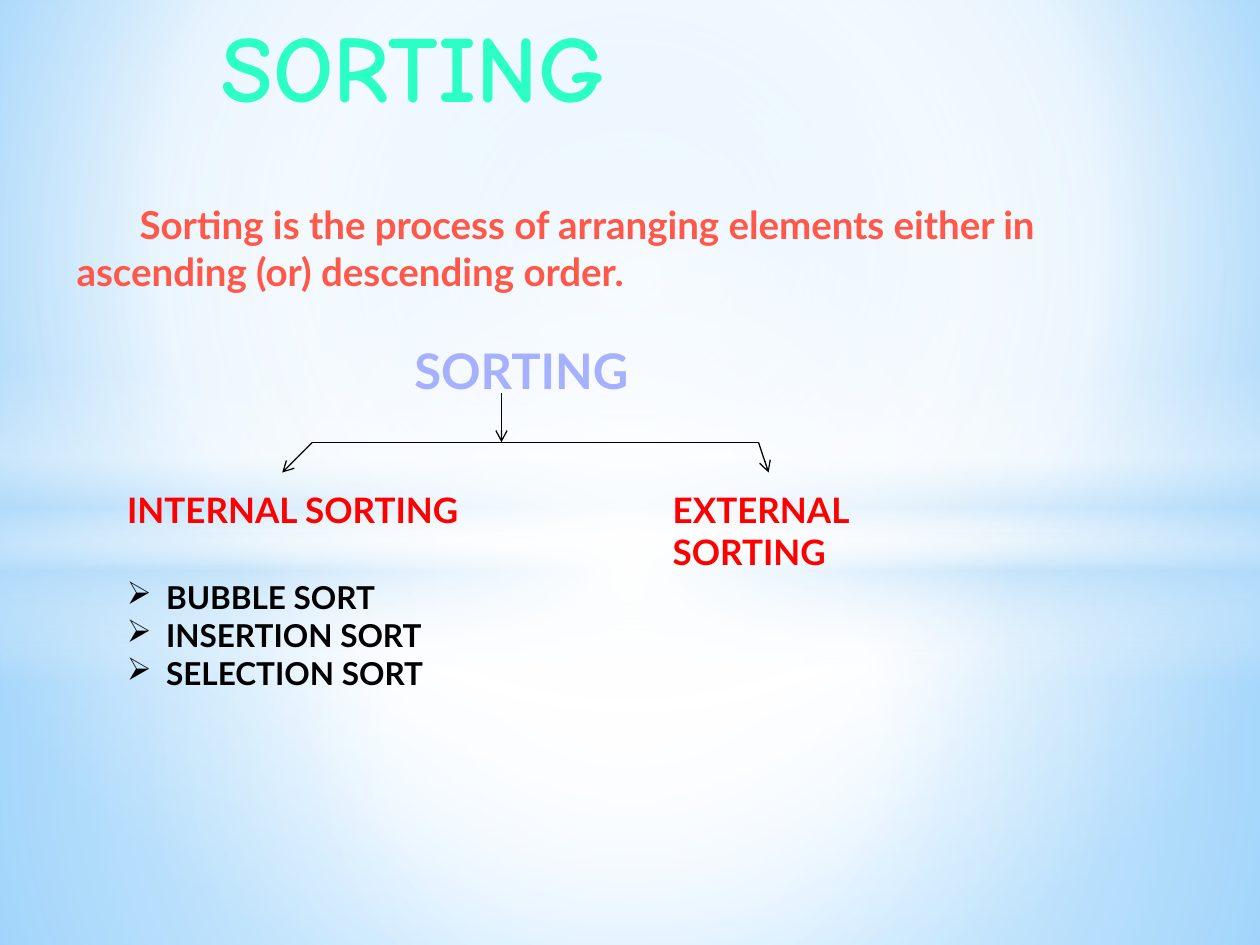
from dataclasses import dataclass
from pptx import Presentation
from pptx.dml.color import RGBColor
from pptx.enum.shapes import MSO_CONNECTOR as CONN, MSO_SHAPE as SHAPE
from pptx.enum.text import MSO_ANCHOR as ANCHOR, MSO_AUTO_SIZE as AUTO, PP_ALIGN as ALIGN
from pptx.oxml import parse_xml
from pptx.oxml.ns import nsdecls, qn
from pptx.oxml.xmlchemy import OxmlElement
from pptx.util import Inches, Pt


@dataclass(frozen=True)
class Theme:
    body: str = "Lato"
    display: str = "Comic Neue"
    title: str = "2CFFC5"
    definition: str = "FF5748"
    root: str = "A5B0FF"
    branch: str = "FF0000"
    ink: str = "000000"
    white: str = "FFFFFF"
    haze: str = "B4DCFA"
    sky: str = "9ED5FF"
    deep_sky: str = "5BB9FF"
    title_size: float = 54
    definition_size: float = 22
    root_size: float = 28
    branch_size: float = 20
    item_size: float = 18
    line_width: float = 0.75


T = Theme()
CENTER = (50, 50, 50, 50)


def set_gradient(fill, props, stops, focus=None):
    fill.gradient()
    gs = "".join(
        f'<a:gs pos="{pos * 1000}"><a:srgbClr val="{color}">'
        f'<a:alpha val="{alpha * 1000}"/></a:srgbClr></a:gs>'
        for pos, color, alpha in stops)
    if focus:
        sides = " ".join(f'{k}="{v * 1000}"' for k, v in zip("ltrb", focus))
        shade = f'<a:path path="circle"><a:fillToRect {sides}/></a:path>'
    else:
        shade = '<a:lin ang="5400000" scaled="0"/>'
    old = props.find(qn("a:gradFill"))
    props.replace(old, parse_xml(
        f'<a:gradFill {nsdecls("a")} rotWithShape="1"><a:gsLst>{gs}</a:gsLst>{shade}</a:gradFill>'))


def format_text(tf, size, color, font=T.body):
    tf.word_wrap = True
    tf.vertical_anchor = ANCHOR.TOP
    for p in tf.paragraphs:
        p.alignment = ALIGN.LEFT
        for r in p.runs:
            r.font.name, r.font.size, r.font.bold = font, Pt(size), True
            r.font.color.rgb = RGBColor.from_string(color)


def add_text(slide, box, text, size, color):
    tf = slide.shapes.add_textbox(*map(Inches, box)).text_frame
    tf.text = text
    format_text(tf, size, color)
    return tf


def add_line(slide, start, end, arrow=True):
    c = slide.shapes.add_connector(CONN.STRAIGHT, *map(Inches, start + end))
    c.line.width = Pt(T.line_width)
    c.line.color.rgb = RGBColor.from_string(T.ink)
    if arrow:
        tail = OxmlElement("a:tailEnd")
        tail.set("type", "arrow")
        c.line._get_or_add_ln().append(tail)
    c._element.spPr.append(OxmlElement("a:effectLst"))


def set_indent(p, left, first=0):
    pPr = p._p.get_or_add_pPr()
    pPr.set("marL", str(Inches(left)))
    pPr.set("indent", str(Inches(first)))
    return pPr


def add_backdrop(slide, width, height):
    fill = slide.background.fill
    fill.gradient()
    set_gradient(fill, slide._element.cSld.bg.bgPr,
                 [(0, T.sky, 100), (60, T.white, 100), (100, T.deep_sky, 100)],
                 (20, 10, 20, 60))
    horizon = 4.23
    layers = [
        (SHAPE.RECTANGLE, horizon, height - horizon,
         [(0, T.white, 91), (37, T.white, 76), (100, T.haze, 79)], CENTER),
        (SHAPE.RECTANGLE, 0, horizon,
         [(0, T.white, 89), (48, T.white, 62), (100, T.haze, 79)], CENTER),
        (SHAPE.RECTANGLE, 2.9, 2.5,
         [(0, T.white, 0), (29, T.white, 30), (45, T.haze, 40),
          (55, T.white, 26), (65, T.haze, 60), (100, T.white, 0)], None),
        (SHAPE.OVAL, 1.75, 5.58, [(0, T.white, 100), (54, T.white, 0)], CENTER),
    ]
    for kind, top, tall, stops, focus in layers:
        s = slide.shapes.add_shape(kind, 0, Inches(top), Inches(width), Inches(tall))
        s.shadow.inherit = False
        s.line.fill.background()
        set_gradient(s.fill, s._element.spPr, stops, focus)


def add_title(slide, box, text):
    s = slide.shapes.title
    s.left, s.top, s.width, s.height = map(Inches, box)
    tf = s.text_frame
    tf.text = text
    tf.auto_size = AUTO.NONE
    format_text(tf, T.title_size, T.title, T.display)
    set_indent(tf.paragraphs[0], 0.2)
    slide.shapes._spTree.append(s._element)


def add_definition(slide, box, text):
    p = add_text(slide, box, text, T.definition_size, T.definition).paragraphs[0]
    p.space_before, p.space_after = Pt(4.4), Pt(3)


def add_tree(slide, box):
    x, y, width, height = box
    add_text(slide, (x + 2.28, y, 5.2, 0.57), "SORTING", T.root_size, T.root)
    bar, tip = y + 0.86, y + 1.1
    left, stem, right = x + 1.57, x + 3.07, x + 5.11
    add_line(slide, (stem, y + 0.47), (stem, bar))
    add_line(slide, (left, bar), (right, bar), arrow=False)
    add_line(slide, (left, bar), (x + 1.33, tip))
    add_line(slide, (right, bar), (x + 5.19, tip))
    for text, dx, wide in (("INTERNAL SORTING", 0, 3.15), ("EXTERNAL SORTING", 4.33, 2.83)):
        add_text(slide, (x + dx, y + 1.18, wide, 0.44), text, T.branch_size, T.branch)
    items = "\n".join(f"{name} SORT" for name in ("BUBBLE", "INSERTION", "SELECTION"))
    tf = add_text(slide, (x, y + 1.89, 2.6, height - 1.89), items, T.item_size, T.ink)
    for p in tf.paragraphs:
        bullet = OxmlElement("a:buChar")
        bullet.set("char", "➢")
        set_indent(p, 0.31, -0.31).append(bullet)


def build_sorting_slide(prs, width, height):
    slide = prs.slides.add_slide(prs.slide_layouts[5])
    add_backdrop(slide, width, height)
    add_definition(slide, (0.51, 1.55, 8.66, 4.02),
                   "\tSorting is\u00a0the process of arranging elements either in "
                   "ascending (or) descending order.")
    add_title(slide, (1.46, 0.01, 7.85, 1.96), "SORTING")
    add_tree(slide, (0.91, 2.65, 7.48, 2.9))


prs = Presentation()
prs.slide_width, prs.slide_height = Inches(10), Inches(7.5)
build_sorting_slide(prs, 10, 7.5)
prs.save("out.pptx")
